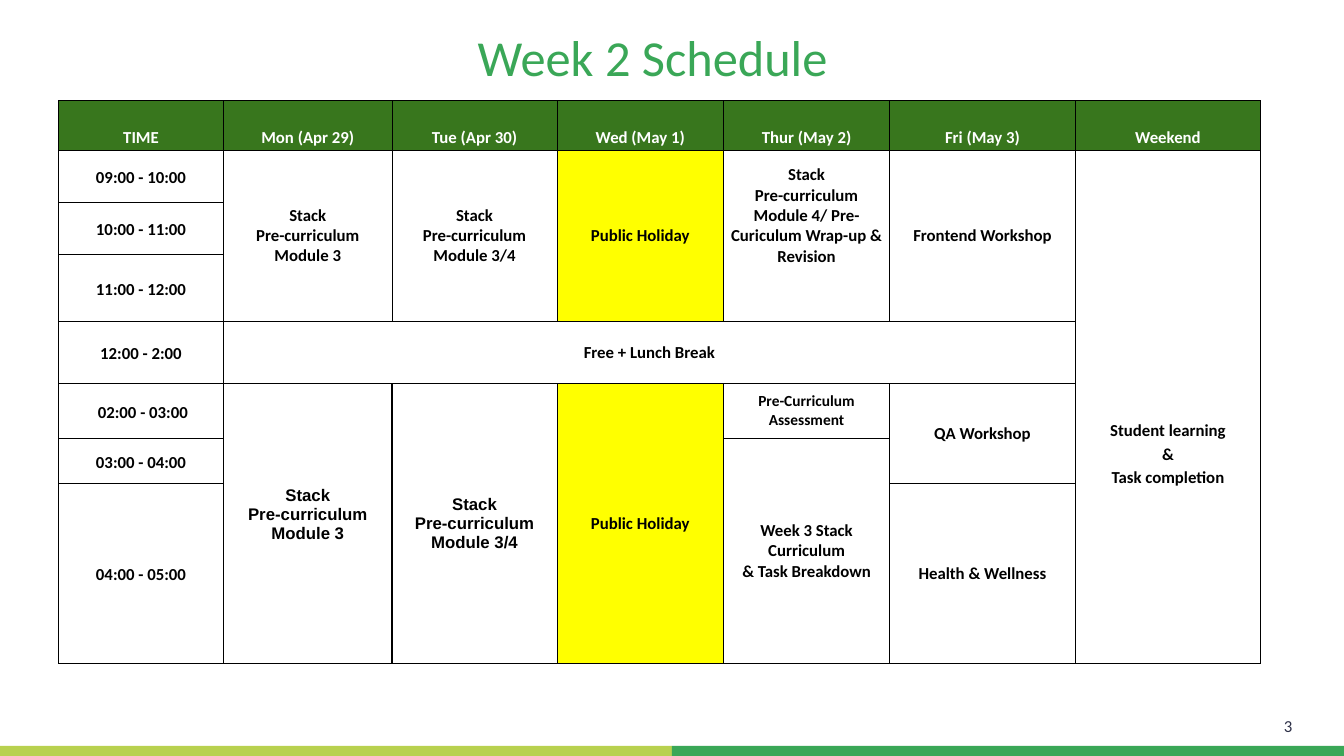
from lxml import etree
from pptx import Presentation
from pptx import util as u
from pptx.dml.color import RGBColor
from pptx.enum import shapes, text
from pptx.oxml import ns

COLUMNS = [118, 120.25, 118, 118.8, 118.8, 132.5, 132.5]
ROWS = [35.4, 37.2, 37.4, 47.5, 44.6, 39, 32.4, 128.6]
DAYS = ["TIME", "Mon (Apr 29)", "Tue (Apr 30)", "Wed (May 1)",
        "Thur (May 2)", "Fri (May 3)", "Weekend"]
TIMES = ["09:00 - 10:00", "10:00 - 11:00", "11:00 - 12:00", "12:00 - 2:00",
         " 02:00 - 03:00", "03:00 - 04:00", "04:00 - 05:00"]
MODULE_3 = "Stack\nPre-curriculum\nModule 3"
MODULE_34 = "Stack\nPre-curriculum\nModule 3/4"
SESSIONS = [
    (1, 1, 3, 1, MODULE_3, {}),
    (1, 2, 3, 1, MODULE_34, {}),
    (1, 3, 3, 1, "Public Holiday", {"fill": "FFFF00"}),
    (1, 4, 3, 1, "Stack\nPre-curriculum\nModule 4/ Pre-Curiculum Wrap-up & Revision",
     {"bottom": 30}),
    (1, 5, 3, 1, "Frontend Workshop", {}),
    (1, 6, 7, 1, "Student learning\n&\nTask completion", {"spacing": 1.15, "top": 67}),
    (4, 1, 1, 5, "Free + Lunch Break", {}),
    (5, 1, 3, 1, MODULE_3, {"font": "Arial", "bottom": 14}),
    (5, 2, 3, 1, MODULE_34, {"font": "Arial"}),
    (5, 3, 3, 1, "Public Holiday", {"fill": "FFFF00"}),
    (5, 4, 1, 1, "Pre-Curriculum Assessment", {"size": 11}),
    (5, 5, 2, 1, "QA Workshop", {}),
    (6, 4, 2, 1, "Week 3 Stack Curriculum\n& Task Breakdown", {}),
    (7, 5, 1, 1, "Health & Wellness", {}),
]


def rgb(value):
    return RGBColor.from_string(value)


def write(tf, content, size, color, align, font="Calibri", bold=False, spacing=None):
    tf.text = content
    for p in tf.paragraphs:
        p.alignment = align
        p.line_spacing = spacing
        for r in p.runs:
            r.font.name = font
            r.font.size = u.Pt(size)
            r.font.bold = bold
            r.font.color.rgb = rgb(color)


def place(sp, left, top, width, height):
    sp.left, sp.top, sp.width, sp.height = map(u.Pt, (left, top, width, height))


def set_borders(cell, right=0.75):
    tcPr = cell._tc.get_or_add_tcPr()
    for i, side in enumerate("LRTB"):
        ln = etree.Element(ns.qn(f"a:ln{side}"), w=str(u.Pt(right if side == "R" else 0.75)))
        fill = etree.SubElement(ln, ns.qn("a:solidFill"))
        etree.SubElement(fill, ns.qn("a:srgbClr"), val="000000")
        tcPr.insert(i, ln)


def fill_cell(cell, content, fill="FFFFFF", color="000000", size=12, font="Calibri",
              spacing=None, anchor=text.MSO_ANCHOR.MIDDLE, top=1.5, bottom=1.5):
    write(cell.text_frame, content, size, color, text.PP_ALIGN.CENTER, font, True, spacing)
    cell.vertical_anchor = anchor
    cell.margin_left = cell.margin_right = u.Pt(2.25)
    cell.margin_top, cell.margin_bottom = u.Pt(top), u.Pt(bottom)
    cell.fill.solid()
    cell.fill.fore_color.rgb = rgb(fill)


def add_schedule(s):
    frame = s.shapes.add_table(len(ROWS), len(COLUMNS), u.Pt(41.75), u.Pt(72),
                               u.Pt(sum(COLUMNS)), u.Pt(sum(ROWS)))
    table = frame.table
    table.first_row = table.horz_banding = False
    for column, width in zip(table.columns, COLUMNS):
        column.width = u.Pt(width)
    for row, height in zip(table.rows, ROWS):
        row.height = u.Pt(height)
    for col, day in enumerate(DAYS):
        fill_cell(table.cell(0, col), day, "38761D", "FFFFFF", spacing=1.15,
                  anchor=text.MSO_ANCHOR.BOTTOM)
    for row, time in enumerate(TIMES, 1):
        fill_cell(table.cell(row, 0), time, spacing=1.15)
    for row, col, height, width, content, style in SESSIONS:
        cell = table.cell(row, col)
        if height * width > 1:
            cell.merge(table.cell(row + height - 1, col + width - 1))
        fill_cell(cell, content, **style)
    for row in range(len(ROWS)):
        for col in range(len(COLUMNS)):
            set_borders(table.cell(row, col), 1 if row > 4 and col in (1, 2) else 0.75)


def add_bar(s, left, color):
    sp = s.shapes.add_shape(shapes.MSO_SHAPE.RECTANGLE, u.Pt(left), u.Pt(532.8),
                            u.Pt(480), u.Pt(10.8))
    sp.shadow.inherit = False
    sp.fill.solid()
    sp.fill.fore_color.rgb = rgb(color)
    sp.line.fill.background()


def set_title(s, content):
    sp = s.shapes.title
    place(sp, 54, 11.5, 824.4, 55.4)
    tf = sp.text_frame
    tf.auto_size = text.MSO_AUTO_SIZE.NONE
    tf.vertical_anchor = text.MSO_ANCHOR.TOP
    tf.margin_top = tf.margin_bottom = u.Pt(7.2)
    write(tf, content, 36, "3AA757", text.PP_ALIGN.CENTER)


def add_page_number(s, number):
    sp = s.shapes.add_textbox(u.Pt(714.25), u.Pt(504), u.Pt(216), u.Pt(28.8))
    tf = sp.text_frame
    tf.word_wrap = True
    tf.vertical_anchor = text.MSO_ANCHOR.MIDDLE
    write(tf, number, 12, "2D3047", text.PP_ALIGN.RIGHT)


def main():
    prs = Presentation()
    prs.slide_width, prs.slide_height = u.Pt(960), u.Pt(540)
    s = prs.slides.add_slide(prs.slide_layouts[5])
    add_schedule(s)
    add_bar(s, 0, "B8D14F")
    add_bar(s, 480, "3AA757")
    set_title(s, "Week 2 Schedule")
    add_page_number(s, "3")
    prs.save("out.pptx")


if __name__ == "__main__":
    main()
